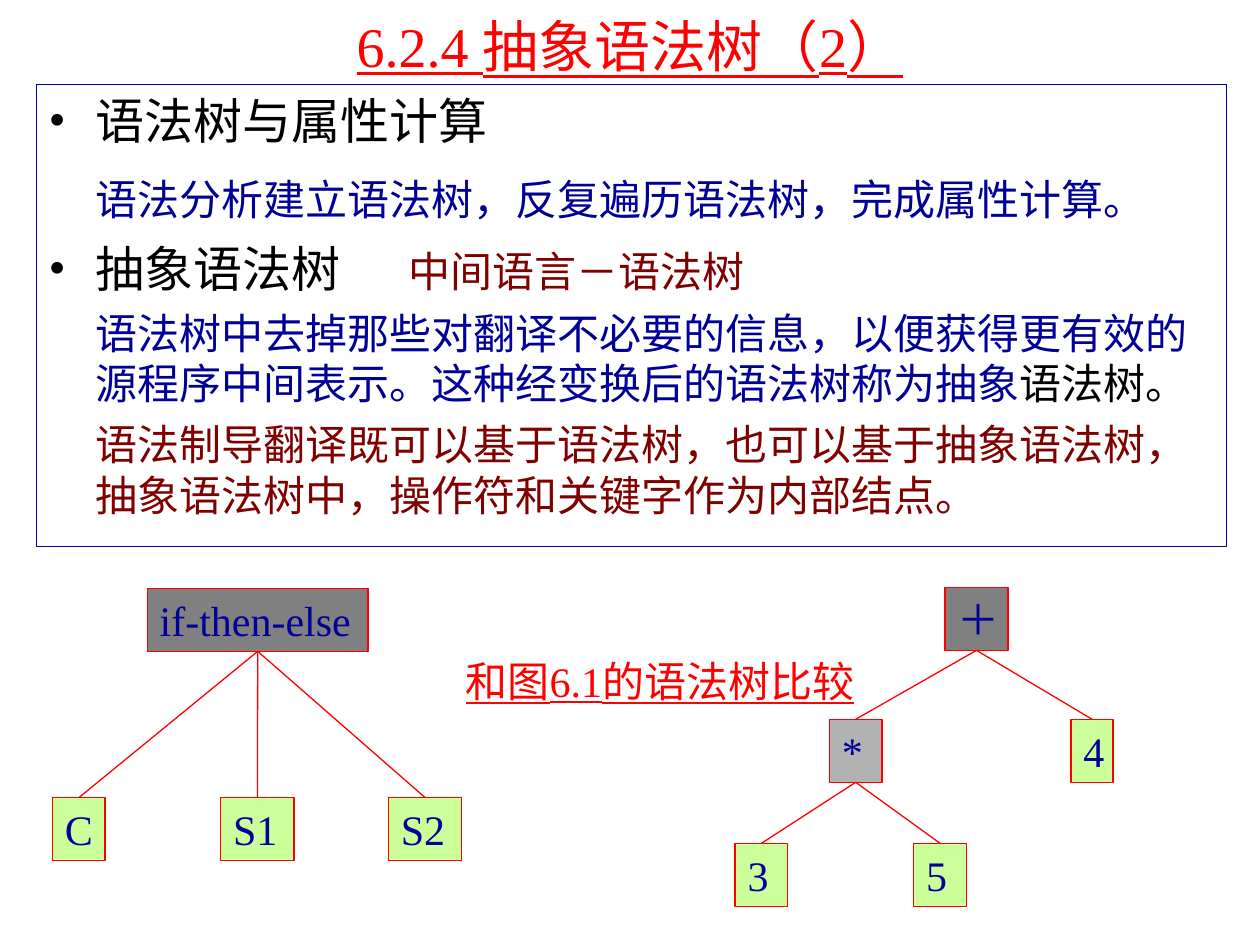
from pptx import Presentation
from pptx.dml.color import RGBColor
from pptx.enum.shapes import MSO_CONNECTOR, MSO_SHAPE
from pptx.enum.text import MSO_ANCHOR, PP_ALIGN
from pptx.util import Cm, Pt
from lxml import etree

RECT = MSO_SHAPE.RECTANGLE
STRAIGHT = MSO_CONNECTOR.STRAIGHT
TOP, MIDDLE = MSO_ANCHOR.TOP, MSO_ANCHOR.MIDDLE
LEFT, CENTER = PP_ALIGN.LEFT, PP_ALIGN.CENTER
A = "{http://schemas.openxmlformats.org/drawingml/2006/main}"
FONT = "Times New Roman"
C = {"red": "FF0000", "navy": "000099", "maroon": "800000", "black": "000000",
     "gray": "808080", "silver": "B2B2B2", "green": "CCFF99"}


def add_run(p, text, size, color, underline=None):
    r = p.add_run()
    r.text = text
    r.font.name = FONT
    r.font.size = Pt(size)
    r.font.color.rgb = RGBColor.from_string(C[color])
    r.font.underline = underline


def add_box(s, x, y, w, h, line, fill=None):
    sp = s.shapes.add_shape(RECT, Cm(x), Cm(y), Cm(w), Cm(h))
    sp.shadow.inherit = False
    if fill:
        sp.fill.solid()
        sp.fill.fore_color.rgb = RGBColor.from_string(C[fill])
    else:
        sp.fill.background()
    sp.line.color.rgb = RGBColor.from_string(C[line])
    sp.line.width = Pt(0.75)
    tf = sp.text_frame
    tf.word_wrap = True
    tf.vertical_anchor = TOP
    tf.paragraphs[0].alignment = LEFT
    return sp


prs = Presentation()
prs.slide_width, prs.slide_height = Cm(25.4), Cm(19.05)
s = prs.slides.add_slide(prs.slide_layouts[6])

# Title
tf = s.shapes.add_textbox(Cm(1.9), Cm(0.18), Cm(21.6), Cm(1.47)).text_frame
tf.word_wrap = True
tf.vertical_anchor = MIDDLE
p = tf.paragraphs[0]
p.alignment = CENTER
add_run(p, "6.2.4 抽象语法树（2）", 32, "red", True)

# Framed text: bullet, space before, runs
body = [
    (True, 0, [("语法树与属性计算", 28, "black")]),
    (False, 14, [("语法分析建立语法树，反复遍历语法树，完成属性计算。", 24, "navy")]),
    (True, 8, [("抽象语法树\t", 28, "black"), ("中间语言－语法树", 24, "maroon")]),
    (False, 6, [("语法树中去掉那些对翻译不必要的信息，以便获得更有效的"
                 "源程序中间表示。这种经变换后的语法树称为抽象", 24, "navy"),
                ("语法树。", 24, "black")]),
    (False, 6, [("语法制导翻译既可以基于语法树，也可以基于抽象语法树，"
                 "抽象语法树中，操作符和关键字作为内部结点。", 24, "maroon")]),
]
tf = add_box(s, 0.73, 1.7, 24, 9.32, "navy").text_frame
for i, (bullet, before, runs) in enumerate(body):
    p = tf.add_paragraph() if i else tf.paragraphs[0]
    p.alignment = LEFT
    pPr = p._p.get_or_add_pPr()
    pPr.set("marL", str(Cm(0.95)))
    pPr.set("indent", str(-Cm(0.95) if bullet else 0))
    p.space_before = Pt(before)
    if bullet:
        color = etree.SubElement(pPr, A + "buClr")
        etree.SubElement(color, A + "srgbClr", val=C["black"])
        etree.SubElement(pPr, A + "buFont", typeface=FONT)
        etree.SubElement(pPr, A + "buChar", char="•")
        tabs = etree.SubElement(pPr, A + "tabLst")
        etree.SubElement(tabs, A + "tab", pos=str(Cm(7.25)), algn="l")
    for text, size, color in runs:
        add_run(p, text, size, color)

# Tree nodes: label, left, top, width, fill, parent
nodes = [
    ("if-then-else", 2.97, 11.86, 4.45, "gray", None),
    ("C", 1.06, 16.08, 1.06, "green", "if-then-else"),
    ("S1", 4.45, 16.08, 1.48, "green", "if-then-else"),
    ("S2", 7.83, 16.08, 1.48, "green", "if-then-else"),
    ("＋", 19.05, 11.84, 1.27, "gray", None),
    ("*", 16.72, 14.5, 1.06, "silver", "＋"),
    ("4", 21.59, 14.5, 0.85, "green", "＋"),
    ("3", 14.82, 17, 1.06, "green", "*"),
    ("5", 18.42, 17, 1.06, "green", "*"),
]
boxes = {}
for label, x, y, w, fill, parent in nodes:
    sp = add_box(s, x, y, w, 1.27, "red", fill)
    add_run(sp.text_frame.paragraphs[0], label, 24, "navy")
    boxes[label] = sp

# Tree edges
for label, x, y, w, fill, parent in nodes:
    if parent:
        edge = s.shapes.add_connector(STRAIGHT, 0, 0, 0, 0)
        edge.begin_connect(boxes[parent], 2)
        edge.end_connect(boxes[label], 0)
        edge.line.color.rgb = RGBColor.from_string(C["red"])
        edge.line.width = Pt(0.75)
        etree.SubElement(edge._element.spPr, A + "effectLst")

# Remark between the trees
tf = s.shapes.add_textbox(Cm(9.14), Cm(13.08), Cm(8.74), Cm(1.27)).text_frame
tf.word_wrap = False
add_run(tf.paragraphs[0], "和图6.1的语法树比较", 24, "red", True)

prs.save("out.pptx")
